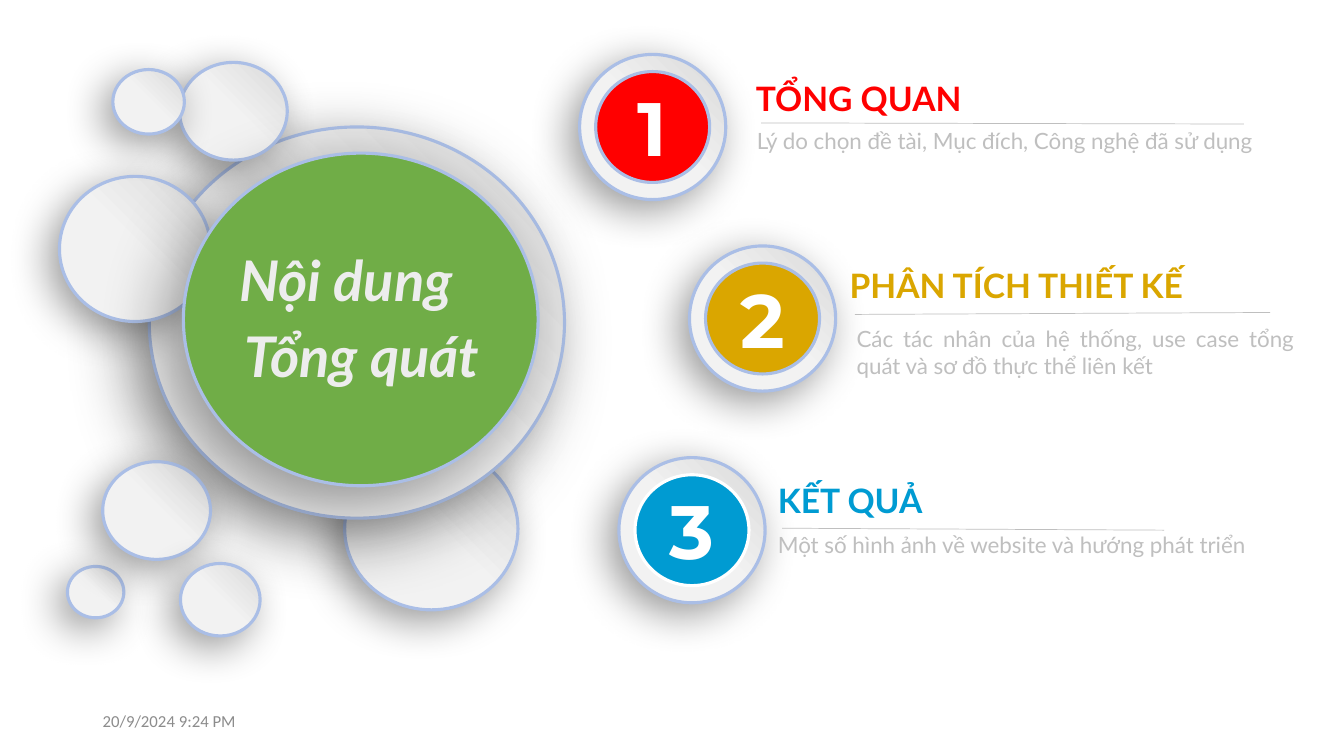
from lxml import etree
from pptx import Presentation
from pptx.dml.color import RGBColor
from pptx.enum.shapes import MSO_CONNECTOR, MSO_SHAPE
from pptx.enum.text import MSO_ANCHOR, PP_ALIGN
from pptx.oxml.ns import qn
from pptx.util import Pt

LEFT, CENTER, JUSTIFY = PP_ALIGN.LEFT, PP_ALIGN.CENTER, PP_ALIGN.JUSTIFY
TOP, MIDDLE = MSO_ANCHOR.TOP, MSO_ANCHOR.MIDDLE
OVAL, STRAIGHT = MSO_SHAPE.OVAL, MSO_CONNECTOR.STRAIGHT

COLORS = {
    "white": "FFFFFF", "light": "F2F2F2", "shade": "D9D9D9", "ring": "AABEE6",
    "green": "70AD47", "red": "FF0000", "gold": "DAA600", "blue": "009BD2",
    "body": "BFBFBF", "heading": "EDEDED", "date": "8C8C8C", "black": "000000",
}
SOFT_SHADOW = (30, 10)  # blur, distance
DEEP_SHADOW = (50, 18)

# left, top, width, height, shadow; back to front
BUBBLES = [
    (246.2, 319.7, 123.8, 115.9, SOFT_SHADOW),
    (106.6, 90.7, 296.6, 279.4, DEEP_SHADOW),
    (42.5, 126, 108, 103.7, SOFT_SHADOW),
    (128.2, 44.6, 77, 69.8, SOFT_SHADOW),
    (80.6, 49.7, 51.1, 46.1, SOFT_SHADOW),
    (48.2, 404.6, 40.3, 36.7, SOFT_SHADOW),
    (73.4, 329.8, 77, 69.8, SOFT_SHADOW),
    (128.9, 402.5, 56.9, 51.8, SOFT_SHADOW),
]
GREEN_DISC = (131, 109.4, 253.4, 237.6)
HEADING = [("Nội dung", 247, 172.1), ("Tổng quát", 258.5, 226.1)]  # centre, top
HEADING_WIDTH = 240
DATE = ("20/9/2024 9:24 PM", (66.2, 500.4, 216, 28.8))

SECTIONS = [
    {"number": "1", "color": "red", "ring": "ring", "badge": (414, 38.9),
     "title": "TỔNG QUAN", "title_box": (532.8, 51.8, 388.1, 36),
     "rule": (543.6, 87.8, 888.5, 88.6),
     "text": "Lý do chọn đề tài, Mục đích, Công nghệ đã sử dụng",
     "text_box": (533.5, 87.1, 375.1, 46.1), "align": LEFT},
    {"number": "2", "color": "gold", "ring": "ring", "badge": (492.5, 175.7),
     "title": "PHÂN TÍCH THIẾT KẾ", "title_box": (599.8, 185.8, 350, 36),
     "rule": (610.6, 224.6, 907.2, 223.2),
     "text": "Các tác nhân của hệ thống, use case tổng quát và sơ đồ thực thể liên kết",
     "text_box": (604.8, 229, 326.9, 46.1), "align": JUSTIFY},
    {"number": "3", "color": "blue", "ring": "white", "badge": (442.1, 326.9),
     "title": "KẾT QUẢ", "title_box": (548.6, 339.1, 307.4, 36),
     "rule": (558.7, 377.3, 831.6, 378.7),
     "text": "Một số hình ảnh về website và hướng phát triển",
     "text_box": (548.6, 375.8, 360, 26.6), "align": LEFT},
]
BADGE = (104.4, 103.7)
BADGE_DISC = (81.4, 79.2)
NUMBER_HEIGHT = 72.7


def rgb(name):
    return RGBColor.from_string(COLORS[name])


def add_shadow(s, blur, distance):
    """Cast a soft black shadow to the lower left."""
    effects = s._element.spPr.find(qn("a:effectLst"))
    shadow = etree.SubElement(
        effects, qn("a:outerShdw"), blurRad=str(Pt(blur)), dist=str(Pt(distance)),
        dir="8100000", algn="tr", rotWithShape="0")
    color = etree.SubElement(shadow, qn("a:srgbClr"), val=COLORS["black"])
    etree.SubElement(color, qn("a:alpha"), val="40000")


def add_circle(slide, box, color=None, ring="ring", shadow=None):
    """Draw an ellipse; without a colour it gets the grey gradient."""
    s = slide.shapes.add_shape(OVAL, *map(Pt, box))
    if color:
        s.fill.solid()
        s.fill.fore_color.rgb = rgb(color)
    else:
        s.fill.gradient()
        s.fill.gradient_angle = 45
        for stop, name, position in zip(s.fill.gradient_stops, ("light", "shade"), (0.5, 1)):
            stop.color.rgb = rgb(name)
            stop.position = position
    s.line.color.rgb = rgb(ring)
    s.line.width = Pt(2.25)
    s.shadow.inherit = False
    if shadow:
        add_shadow(s, *shadow)


def add_text(slide, text, box, size, color, font="Lato", bold=False, italic=False,
             align=LEFT, anchor=TOP, wrap=True):
    tf = slide.shapes.add_textbox(*map(Pt, box)).text_frame
    tf.word_wrap = wrap
    tf.vertical_anchor = anchor
    p = tf.paragraphs[0]
    p.alignment = align
    r = p.add_run()
    r.text = text
    r.font.name, r.font.size = font, Pt(size)
    r.font.bold, r.font.italic = bold, italic
    r.font.color.rgb = rgb(color)


def add_rule(slide, ends):
    s = slide.shapes.add_connector(STRAIGHT, *map(Pt, ends))
    s.line.color.rgb = rgb("body")
    s.line.width = Pt(0.5)
    etree.SubElement(s._element.spPr, qn("a:effectLst"))


def add_section(slide, section):
    left, top = section["badge"]
    width, height = BADGE
    disc_width, disc_height = BADGE_DISC
    add_circle(slide, (left, top, width, height), shadow=SOFT_SHADOW)
    disc = (left + (width - disc_width) / 2, top + (height - disc_height) / 2)
    add_circle(slide, disc + BADGE_DISC, section["color"], section["ring"])
    number_box = (left, top + (height - NUMBER_HEIGHT) / 2, width, NUMBER_HEIGHT)
    add_text(slide, section["number"], number_box, 54, "white", font="Montserrat",
             bold=True, align=CENTER, wrap=False)
    add_text(slide, section["title"], section["title_box"], 24, section["color"], bold=True)
    add_rule(slide, section["rule"])
    add_text(slide, section["text"], section["text_box"], 16, "body", align=section["align"])


def main():
    prs = Presentation()
    prs.slide_width, prs.slide_height = Pt(960), Pt(540)
    slide = prs.slides.add_slide(prs.slide_layouts[6])
    for *box, shadow in BUBBLES:
        add_circle(slide, box, shadow=shadow)
    add_circle(slide, GREEN_DISC, "green", shadow=DEEP_SHADOW)
    for text, centre, top in HEADING:
        box = (centre - HEADING_WIDTH / 2, top, HEADING_WIDTH, 55.4)
        add_text(slide, text, box, 40, "heading", bold=True, italic=True, align=CENTER)
    for section in SECTIONS:
        add_section(slide, section)
    text, box = DATE
    add_text(slide, text, box, 12, "date", font="Calibri", anchor=MIDDLE)
    prs.save("out.pptx")


if __name__ == "__main__":
    main()
